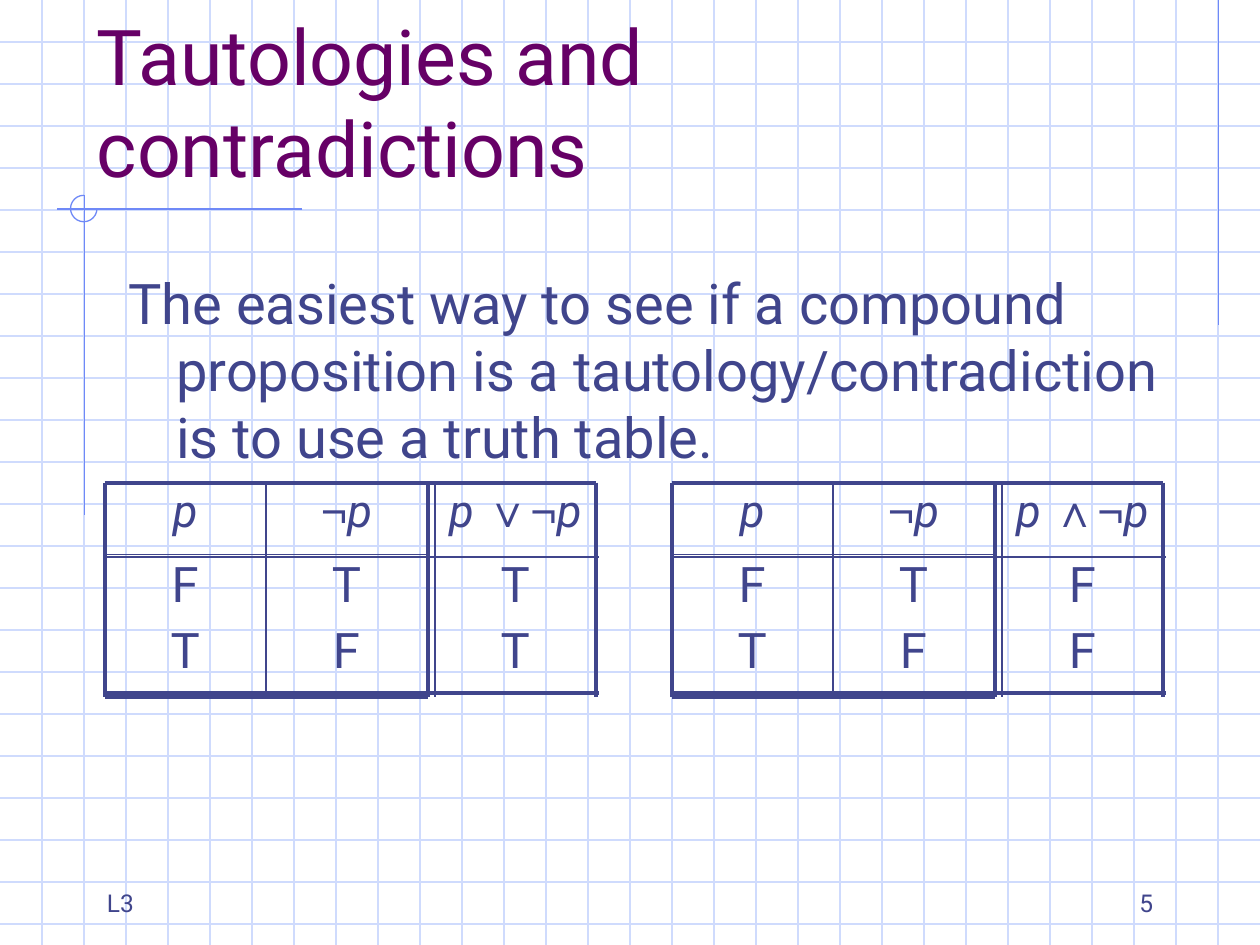
from lxml import etree
from pptx import Presentation
from pptx.dml.color import RGBColor
from pptx.enum.shapes import MSO_CONNECTOR, MSO_SHAPE
from pptx.enum.text import MSO_ANCHOR, PP_ALIGN
from pptx.oxml.ns import qn
from pptx.util import Inches, Pt

STRAIGHT = MSO_CONNECTOR.STRAIGHT
ARC = MSO_SHAPE.ARC
TOP, BOTTOM = MSO_ANCHOR.TOP, MSO_ANCHOR.BOTTOM
LEFT, CENTER, RIGHT = PP_ALIGN.LEFT, PP_ALIGN.CENTER, PP_ALIGN.RIGHT
GRID_BLUE = RGBColor(0xCF, 0xDB, 0xFD)
ACCENT_BLUE = RGBColor(0x6F, 0x89, 0xF7)
PURPLE = RGBColor(0x66, 0x00, 0x66)
INDIGO = RGBColor(0x40, 0x45, 0x8C)
BODY_FONT = "Roboto"
SYMBOL_FONT = "Arial"
THICK, THIN = 2.25, 1

prs = Presentation()
prs.slide_width = Inches(10)
prs.slide_height = Inches(7.5)
slide = prs.slides.add_slide(prs.slide_layouts[6])


def add_line(x1, y1, x2, y2, color, width):
    line = slide.shapes.add_connector(
        STRAIGHT, Inches(x1), Inches(y1), Inches(x2), Inches(y2))
    line.line.color.rgb = color
    line.line.width = Pt(width)
    etree.SubElement(line._element.spPr, qn("a:effectLst"))


def add_text(left, top, width, height, paragraphs, size, color=INDIGO,
             align=LEFT, anchor=TOP):
    box = slide.shapes.add_textbox(
        Inches(left), Inches(top), Inches(width), Inches(height))
    frame = box.text_frame
    frame.word_wrap = True
    frame.vertical_anchor = anchor
    for index, pieces in enumerate(paragraphs):
        paragraph = frame.add_paragraph() if index else frame.paragraphs[0]
        paragraph.alignment = align
        for text, font, italic in pieces:
            run = paragraph.add_run()
            run.text = text
            run.font.name = font
            run.font.size = Pt(size)
            run.font.italic = italic
            run.font.color.rgb = color
    return frame


for step in range(1, 23):
    add_line(0, step / 3, 10, step / 3, GRID_BLUE, 0.75)
for step in range(1, 30):
    add_line(step / 3, 0, step / 3, 7.5, GRID_BLUE, 0.75)

add_line(9.67, 0, 9.67, 2.58, ACCENT_BLUE, 0.75)
add_line(2.4, 1.66, 0.45, 1.66, ACCENT_BLUE, 0.75)
add_line(0.67, 1.55, 0.67, 4.09, ACCENT_BLUE, 0.75)
corner_arc = slide.shapes.add_shape(
    ARC, Inches(0.56), Inches(1.55), Inches(0.21), Inches(0.21))
corner_arc.adjustments[0] = 0
corner_arc.adjustments[1] = 162
corner_arc.shadow.inherit = False
corner_arc.fill.background()
corner_arc.line.color.rgb = ACCENT_BLUE
corner_arc.line.width = Pt(0.75)

add_text(0.67, 0.33, 8.5, 1.25,
         [[("Tautologies and contradictions", BODY_FONT, False)]],
         44, PURPLE, anchor=BOTTOM)

explanation = add_text(
    0.92, 2.08, 8.5, 4.5,
    [[("The easiest way to see if a compound proposition is a "
       "tautology/contradiction is to use a truth table.", BODY_FONT, False)]],
    32)
hanging = explanation.paragraphs[0]._p.get_or_add_pPr()
hanging.set("marL", str(Inches(0.38)))
hanging.set("indent", str(-Inches(0.38)))

P = ("p", BODY_FONT, True)
P_SPACE = ("p ", BODY_FONT, True)
NOT = ("¬", SYMBOL_FONT, False)
OR_NOT = ("∨¬", SYMBOL_FONT, False)
AND_NOT = ("∧¬", SYMBOL_FONT, False)
truth_tables = [
    (0.83, [P_SPACE, OR_NOT, P], "TT"),
    (5.33, [P_SPACE, AND_NOT, P], "FF"),
]
COLUMN_WIDTH = 1.28
HEAD_TOP, VALUES_TOP, TABLE_BOTTOM = 3.83, 4.4, 5.53

for left, compound, results in truth_tables:
    columns = [(0, [P], "FT"), (1.28, [NOT, P], "TF"), (2.62, compound, results)]
    for offset, heading, values in columns:
        value_rows = [[(value, BODY_FONT, False)] for value in values]
        cells = [
            add_text(left + offset, HEAD_TOP, COLUMN_WIDTH, 0.57,
                     [heading], 25.9, align=CENTER),
            add_text(left + offset, VALUES_TOP, COLUMN_WIDTH, 1.13,
                     value_rows, 28, align=CENTER),
        ]
        for cell in cells:
            for index, paragraph in enumerate(cell.paragraphs):
                paragraph.line_spacing = 0.9
                if index:
                    paragraph.space_before = Pt(7)

    for start, end, y, width in [
        (0, 2.57, HEAD_TOP, THICK),
        (0, 2.57, VALUES_TOP, THIN),
        (0, 2.57, TABLE_BOTTOM, THICK),
        (1.34, 3.9, HEAD_TOP, THICK),
        (0, 3.92, 5.5, THICK),
        (0, 3.92, 4.42, THIN),
    ]:
        add_line(left + start, y, left + end, y, INDIGO, width)
    for offset, width in [(0, THICK), (1.28, THIN), (2.57, THICK),
                          (2.62, THIN), (3.9, THICK)]:
        add_line(left + offset, HEAD_TOP, left + offset, TABLE_BOTTOM,
                 INDIGO, width)

for left, text, align in [(7.17, "5", RIGHT), (0.75, "L3", LEFT)]:
    add_text(left, 6.83, 2.08, 0.5, [[(text, BODY_FONT, False)]], 14,
             align=align, anchor=BOTTOM)

prs.save("out.pptx")
